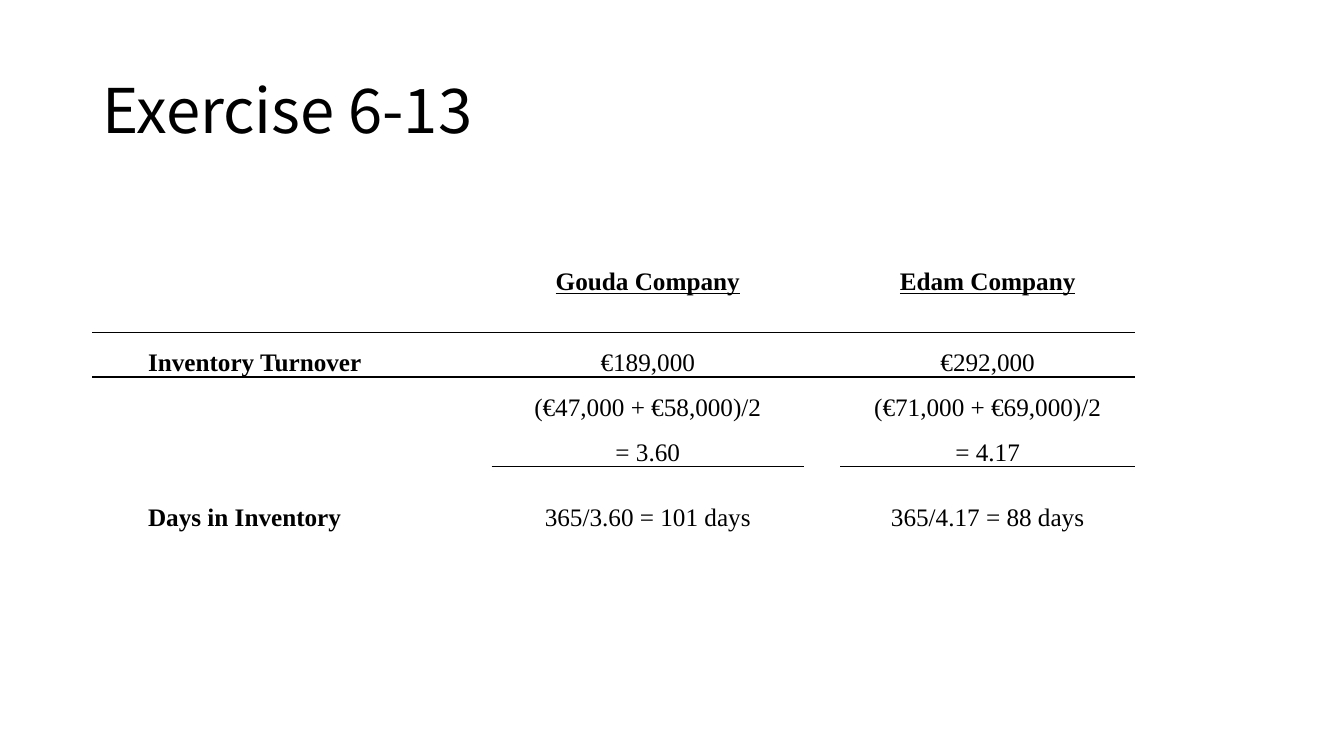
from lxml.etree import SubElement
from pptx import Presentation
from pptx.dml.color import RGBColor
from pptx.enum.text import MSO_ANCHOR as Anchor, PP_ALIGN as Align
from pptx.oxml.ns import qn
from pptx.util import Cm, Pt

COLOURS = {"ink": "000000", "paper": "FFFFFF"}
TITLE_FONT, TABLE_FONT = "Noto Sans CJK SC", "Times New Roman"
NO_GRID_STYLE = "{2D5ABB26-0587-4C30-8999-92F81FD0307C}"
LINE = Pt(16)

COLUMN_WIDTHS = [9.35, 0.71, 7.87, 0.91, 7.44]
ROW_HEIGHTS = [1.47, 1.13, 2.26, 1.07, 1.07]
LABEL_COLUMN, COMPANY_COLUMNS = 0, (2, 4)
HEADER_ROW, TURNOVER_ROW, DIVISOR_ROW, DAYS_ROW = 0, 1, 2, 4

LABELS = {TURNOVER_ROW: "Inventory Turnover", DAYS_ROW: "Days in Inventory"}
COMPANIES = [
    {HEADER_ROW: "Gouda Company", TURNOVER_ROW: "€189,000",
     DIVISOR_ROW: "(€47,000 + €58,000)/2\n= 3.60",
     DAYS_ROW: "365/3.60 = 101 days"},
    {HEADER_ROW: "Edam Company", TURNOVER_ROW: "€292,000",
     DIVISOR_ROW: "(€71,000 + €69,000)/2\n= 4.17",
     DAYS_ROW: "365/4.17 = 88 days"},
]


def style_font(font, name, size, bold=False, underline=False):
    font.name, font.size = name, Pt(size)
    font.bold, font.underline = bold, underline
    font.color.rgb = RGBColor.from_string(COLOURS["ink"])


def add_title(page, left, top, width, height, text):
    box = page.shapes.add_textbox(left, top, width, height)
    frame = box.text_frame
    frame.word_wrap = True
    frame.vertical_anchor = Anchor.MIDDLE
    frame.text = text
    para = frame.paragraphs[0]
    para.line_spacing = 0.9
    style_font(para.runs[0].font, TITLE_FONT, 44)


def add_border(cell, side):
    line = SubElement(cell._tc.get_or_add_tcPr(), qn(f"a:{side}"), w=str(Pt(1)))
    fill = SubElement(line, qn("a:solidFill"))
    SubElement(fill, qn("a:srgbClr"), val=COLOURS["ink"])


def fill_cell(cell, row, text, is_label):
    cell.text_frame.text = text
    # The turnover rows start one line down
    if row in (TURNOVER_ROW, DIVISOR_ROW):
        cell.margin_top = LINE
    for index, para in enumerate(cell.text_frame.paragraphs):
        para.line_spacing = LINE
        if index:
            para.space_before = LINE
        if is_label:
            para._p.get_or_add_pPr().set("indent", str(Cm(1.22)))
        else:
            para.alignment = Align.CENTER
        for span in para.runs:
            style_font(span.font, TABLE_FONT, 18,
                       bold=is_label or row == HEADER_ROW,
                       underline=row == HEADER_ROW)


def add_ratio_table(page, left, top):
    frame = page.shapes.add_table(
        len(ROW_HEIGHTS), len(COLUMN_WIDTHS), left, top,
        Cm(sum(COLUMN_WIDTHS)), Cm(sum(ROW_HEIGHTS)))
    table = frame.table
    table.first_row = table.horz_banding = False
    table._tbl.tblPr.find(qn("a:tableStyleId")).text = NO_GRID_STYLE
    for column, width in zip(table.columns, COLUMN_WIDTHS):
        column.width = Cm(width)
    for row, height in zip(table.rows, ROW_HEIGHTS):
        row.height = Cm(height)

    # Rules under the header and under each numerator
    ruled = {(HEADER_ROW, column) for column in range(len(COLUMN_WIDTHS))}
    ruled |= {(TURNOVER_ROW, column) for column in COMPANY_COLUMNS}
    contents = dict(zip(COMPANY_COLUMNS, COMPANIES))
    contents[LABEL_COLUMN] = LABELS

    for row in range(len(ROW_HEIGHTS)):
        for column in range(len(COLUMN_WIDTHS)):
            cell = table.cell(row, column)
            cell.margin_left = cell.margin_right = Cm(0.18)
            cell.margin_top = cell.margin_bottom = 0
            if (row - 1, column) in ruled:
                add_border(cell, "lnT")
            if (row, column) in ruled:
                add_border(cell, "lnB")
            cell.fill.background()
            text = contents.get(column, {}).get(row)
            if text:
                fill_cell(cell, row, text, column == LABEL_COLUMN)


def main():
    deck = Presentation()
    deck.slide_width, deck.slide_height = Cm(33.87), Cm(19.05)
    page = deck.slides.add_slide(deck.slide_layouts[6])
    background = page.background.fill
    background.solid()
    background.fore_color.rgb = RGBColor.from_string(COLOURS["paper"])
    add_title(page, Cm(2.33), Cm(1.01), Cm(29.21), Cm(3.68), "Exercise 6-13")
    add_ratio_table(page, Cm(2.33), Cm(6.9))
    deck.save("out.pptx")


if __name__ == "__main__":
    main()
